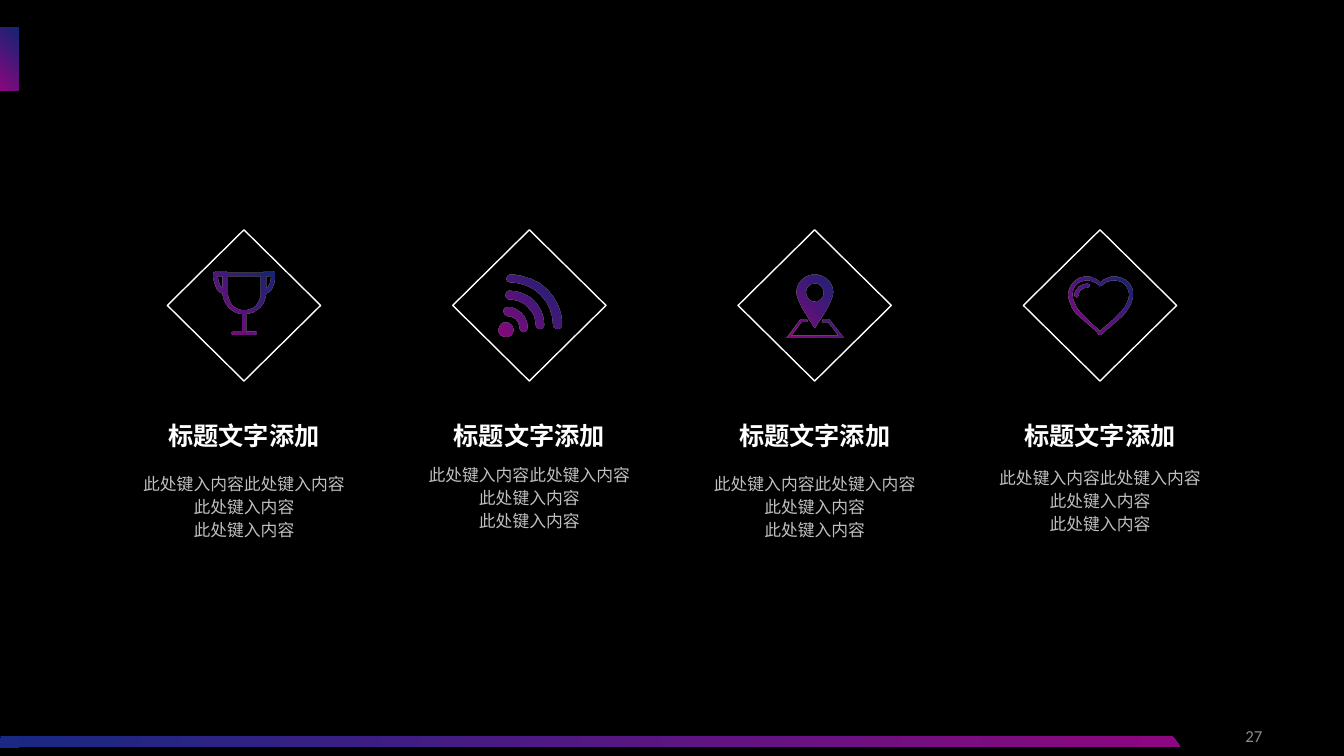
import pptx
import pptx.dml.color
import pptx.enum.shapes
import pptx.enum.text
import pptx.oxml
import pptx.oxml.ns
import pptx.util
from lxml import etree

WIDTH, HEIGHT = 13.33, 7.5
BLUE, MAGENTA = "182983", "8D0780"
CHINESE = "Noto Sans CJK SC"
SHAPES = pptx.enum.shapes.MSO_SHAPE
ALIGN = pptx.enum.text.PP_ALIGN
ANCHOR = pptx.enum.text.MSO_ANCHOR

# Four equal columns
FIRST_CENTER, COLUMN_PITCH = 2.42, 2.83
DIAMOND_TOP, DIAMOND_W, DIAMOND_H = 2.27, 1.5, 1.52
TITLE_TOP, TITLE_W, TITLE_H = 4.06, 2.27, 0.43
BODY_W, BODY_H = 2.62, 1.02

# Icon contours in hundredths of an inch: a start point, then
# two numbers for a line or six for a Bezier curve
ICON_UNIT = pptx.util.Inches(0.01)
TROPHY = [
    "60 3, 60 1, 58 0, 49 0, 48 1, 14 1, 12 0, 2 0, 0 1, 0 3, 0 3 0 20 9 22,"
    "10 33 18 41 28 42, 28 59, 20 59, 18 60, 18 62, 20 63, 40 63, 42 62, 42 60,"
    "40 59, 32 59, 32 42, 42 41 50 33 51 22, 60 20 60 3 60 3",
    "30 38, 21 38 14 31 14 22, 14 5, 46 5, 46 22, 46 31 39 38 30 38",
    "9 17, 6 15 5 8 4 5, 9 5, 9 17",
    "51 17, 51 5, 56 5, 56 8 55 15 51 17",
]
SIGNAL = [
    "7 47, 12 47 15 51 15 55, 15 59 12 62 7 62, 3 62 0 59 0 55, 0 51 3 47 7 47",
    "9 32, 20 32 29 41 29 52, 29 55 28 57 25 57, 23 57 21 55 21 52,"
    "21 46 16 41 9 41, 7 41 5 39 5 36, 5 34 7 32 9 32",
    "11 16, 30 16 45 31 45 50, 45 52 43 54 41 54, 39 54 37 52 37 50,"
    "37 36 25 25 11 25, 9 25 7 23 7 21, 7 18 9 16 11 16",
    "12 0, 40 0 63 22 63 50, 63 52 61 54 58 54, 56 54 54 52 54 50,"
    "54 27 35 8 12 8, 10 8 8 7 8 4, 8 2 10 0 12 0",
]
MAP_PIN = [
    "14 44, 20 44, 20 45 21 46 21 47, 15 47, 5 60, 51 60, 41 47, 35 47,"
    "35 46 36 45 36 44, 42 44, 57 63, 0 63",
    "28 9, 23 9 19 13 19 18, 19 23 23 27 28 27, 33 27 37 23 37 18, 37 13 33 9 28 9",
    "28 0, 38 0 46 8 46 18, 46 27 28 53 28 53, 28 53 10 27 10 18, 10 8 18 0 28 0",
]
HEART = [
    "19 7, 20 7 21 8 21 9, 21 10 20 11 19 11, 14 11 10 14 10 19,"
    "10 20 9 21 8 21, 7 21 6 20 6 19, 6 12 12 7 19 7",
    "18 4, 10 4 4 10 4 18, 4 28 12 37 28 51, 31 54, 34 51, 50 37 59 28 59 18,"
    "59 10 52 4 44 4, 40 4 35 6 33 9, 32 10 30 10 30 9, 27 6 22 4 18 4",
    "18 0, 23 0 28 2 31 6, 35 2 40 0 44 0, 55 0 63 8 63 18, 63 24 60 29 55 36,"
    "51 41 45 46 37 53, 32 58, 30 58, 26 53, 18 46 12 41 7 36, 2 29 0 24 0 18,"
    "0 8 8 0 18 0",
]
# Icon, its width, its top and the top of the body text
FEATURES = [
    (TROPHY, 0.6, 2.69, 4.62),
    (SIGNAL, 0.62, 2.72, 4.53),
    (MAP_PIN, 0.56, 2.72, 4.62),
    (HEART, 0.62, 2.74, 4.56),
]
TITLE = "标题文字添加"
BODY = ["此处键入内容此处键入内容", "此处键入内容", "此处键入内容"]


def rgb(value):
    return pptx.dml.color.RGBColor.from_string(value)


def inches(*lengths):
    return [pptx.util.Inches(length) for length in lengths]


def qn(tag):
    return pptx.oxml.ns.qn(tag)


def paint_gradient(shape, angle, first_opacity=100):
    shape.shadow.inherit = False
    shape.line.fill.background()
    shape.fill.gradient()
    shape.fill.gradient_angle = angle
    for stop, color in zip(shape.fill.gradient_stops, (BLUE, MAGENTA)):
        stop.color.rgb = rgb(color)
    if first_opacity < 100:
        first_color = next(shape._element.spPr.iter(qn("a:srgbClr")))
        alpha = etree.SubElement(first_color, qn("a:alpha"))
        alpha.set("val", str(first_opacity * 1000))


def add_text(slide, box, lines, size, color, font=CHINESE, bold=False,
             align=ALIGN.CENTER, spacing=None, anchor=ANCHOR.TOP):
    label = slide.shapes.add_textbox(*inches(*box))
    frame = label.text_frame
    frame.word_wrap = True
    frame.vertical_anchor = anchor
    frame.text = "\n".join(lines)
    for paragraph in frame.paragraphs:
        paragraph.alignment = align
        paragraph.line_spacing = spacing
        for run in paragraph.runs:
            run.font.size = pptx.util.Pt(size)
            run.font.name = font
            run.font.bold = bold
            run.font.color.rgb = rgb(color)
            east_asian = etree.SubElement(run.font._element, qn("a:ea"))
            east_asian.set("typeface", font)
    return frame


def bend(line, numbers):
    """Turn a line segment into a Bezier curve."""
    curve = etree.Element(qn("a:cubicBezTo"))
    for x, y in zip(numbers[::2], numbers[1::2]):
        etree.SubElement(curve, qn("a:pt"), x=str(x), y=str(y))
    line.getparent().replace(line, curve)


def add_icon(slide, left, top, contours):
    outlines = [[[int(n) for n in segment.split()] for segment in contour.split(",")]
                for contour in contours]
    builder = slide.shapes.build_freeform(*outlines[0][0], scale=ICON_UNIT)
    for index, outline in enumerate(outlines):
        if index:
            builder.move_to(*outline[0])
        builder.add_line_segments([segment[-2:] for segment in outline[1:]], close=True)
    icon = builder.convert_to_shape(*inches(left, top))
    segments = [segment for outline in outlines for segment in outline[1:]]
    lines = list(icon._element.spPr.iter(qn("a:lnTo")))
    for line, segment in zip(lines, segments):
        if len(segment) == 6:
            bend(line, segment)
    paint_gradient(icon, 225, 90)


def add_feature(slide, center, contours, icon_width, icon_top, body_top):
    # Diamond with its icon
    diamond = slide.shapes.add_shape(SHAPES.DIAMOND, *inches(
        center - DIAMOND_W / 2, DIAMOND_TOP, DIAMOND_W, DIAMOND_H))
    diamond.rotation = 270
    diamond.shadow.inherit = False
    diamond.fill.background()
    diamond.line.color.rgb = rgb("FFFFFF")
    diamond.line.width = pptx.util.Pt(1)
    add_icon(slide, center - icon_width / 2, icon_top, contours)
    # Title and body
    title = add_text(slide, (center - TITLE_W / 2, TITLE_TOP, TITLE_W, TITLE_H),
                     [TITLE], 18, "FFFFFF", bold=True, spacing=1.2)
    body = add_text(slide, (center - BODY_W / 2, body_top, BODY_W, BODY_H),
                    BODY, 12, "BFBFBF", spacing=1.14)
    for frame in (title, body):
        frame.auto_size = pptx.enum.text.MSO_AUTO_SIZE.SHAPE_TO_FIT_TEXT


def add_frame(slide):
    # Tab at the upper left
    tab = slide.shapes.add_shape(SHAPES.RECTANGLE, *inches(0, 0.27, 0.18, 0.63))
    paint_gradient(tab, 225, 90)
    # Page number
    add_text(slide, (9.62, 7.1, 3, 0.4), ["27"], 12, "8C8C8C", font="Calibri",
             align=ALIGN.RIGHT, anchor=ANCHOR.MIDDLE)
    # Bar along the bottom
    footer = slide.shapes.add_group_shape().shapes
    bar = footer.add_shape(SHAPES.PARALLELOGRAM, *inches(0, 7.3, 11.71, 0.11))
    bar.adjustments[0] = 0.775
    bar._element.spPr.find(qn("a:xfrm")).set("flipH", "1")
    paint_gradient(bar, 180)
    bar_end = footer.add_shape(SHAPES.RECTANGLE, *inches(0, 7.32, 0.19, 0.1))
    bar_end.shadow.inherit = False
    bar_end.fill.solid()
    bar_end.fill.fore_color.rgb = rgb("1A2983")
    bar_end.line.fill.background()


def main():
    deck = pptx.Presentation()
    deck.slide_width, deck.slide_height = inches(WIDTH, HEIGHT)
    slide = deck.slides.add_slide(deck.slide_layouts[6])
    slide.background.fill.solid()
    slide.background.fill.fore_color.rgb = rgb("000000")
    add_frame(slide)
    for column, feature in enumerate(FEATURES):
        add_feature(slide, FIRST_CENTER + column * COLUMN_PITCH, *feature)
    deck.save("out.pptx")


if __name__ == "__main__":
    main()
